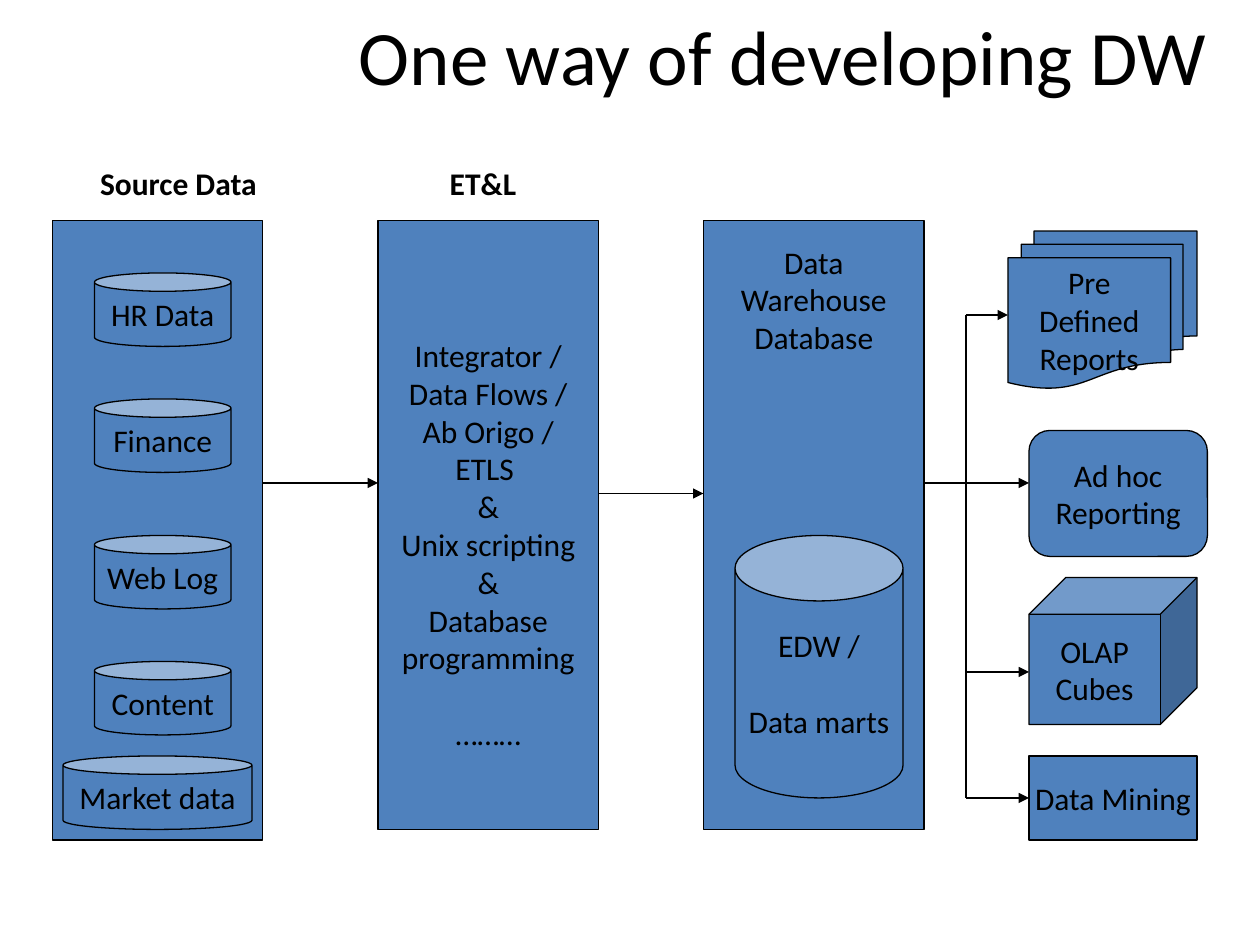
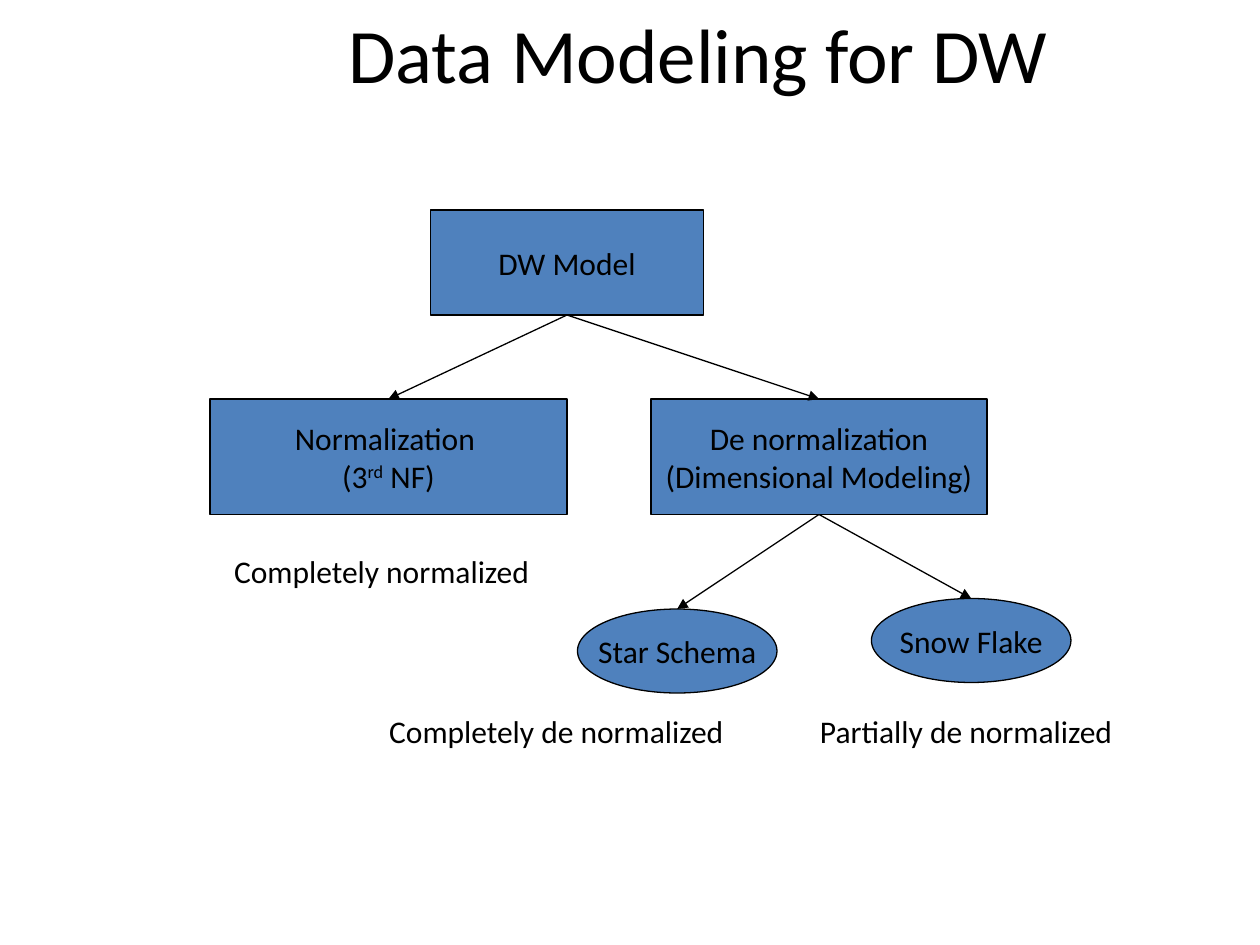
from pptx import Presentation
from pptx.dml.color import RGBColor
from pptx.enum.dml import MSO_LINE
from pptx.enum.shapes import MSO_CONNECTOR, MSO_SHAPE
from pptx.enum.text import MSO_ANCHOR, PP_ALIGN
from pptx.oxml.ns import qn
from pptx.util import Pt
from lxml import etree

BLUE = RGBColor(0x4F, 0x81, 0xBD)
BLACK = RGBColor(0, 0, 0)
LEFT, CENTER = PP_ALIGN.LEFT, PP_ALIGN.CENTER
TOP, MIDDLE = MSO_ANCHOR.TOP, MSO_ANCHOR.MIDDLE
SOLID, STRAIGHT = MSO_LINE.SOLID, MSO_CONNECTOR.STRAIGHT
RECT, CAN, OVAL = MSO_SHAPE.RECTANGLE, MSO_SHAPE.CAN, MSO_SHAPE.OVAL
DOCUMENTS, ROUNDED, CUBE = MSO_SHAPE.FLOWCHART_MULTIDOCUMENT, MSO_SHAPE.ROUNDED_RECTANGLE, MSO_SHAPE.CUBE
SITE_TOP, SITE_LEFT, SITE_BOTTOM = 0, 1, 2

BODY_FONT = {"name": "Calibri", "size": Pt(18)}
BOLD_FONT = {**BODY_FONT, "bold": True}
TITLE_FONT = {**BODY_FONT, "size": Pt(44)}
LINE_HEIGHT = 21.5
SUPERSCRIPT = "30000"

FLOW_TITLE = ("One way of developing DW", (198, 0, 504, 62.4))
FLOW_HEADINGS = [("Source Data", (30, 90, 144, 28.8)), ("ET&L", (204, 90, 144, 28.8))]
SOURCE_PANEL = (30, 126, 120, 354)
SOURCES = [("HR Data", 156, 78), ("Finance", 228, 78), ("Web Log", 306, 78),
           ("Content", 378, 78), ("Market data", 432, 108)]
SOURCE_CENTERS = {78: 93, 108: 90}
ETL_LINES = ["Integrator /", "Data Flows /", "Ab Origo /", "ETLS ", "&", "Unix scripting", "&",
             "Database", "programming", "", "………"]
ETL_PANEL = (216, 126, 126, 348)
WAREHOUSE_LINES = ["Data", "Warehouse", "Database"]
WAREHOUSE_PANEL = (402, 126, 126, 348)
MARTS = (["EDW /", "", "Data marts"], (420, 306, 96, 150))
OUTPUTS = [
    (DOCUMENTS, ["Pre", "Defined", "Reports"], (576, 132, 108, 90), 180),
    (ROUNDED, ["Ad hoc", "Reporting"], (588, 246, 102, 72), 276),
    (CUBE, ["OLAP", "Cubes"], (588, 330, 96, 84), 384),
    (RECT, ["Data Mining"], (588, 432, 96, 48), 456),
]
TRUNK_X, FLOW_Y, WAREHOUSE_Y = 552, 276, 282

MODEL_TITLE = ("Data Modeling for DW", (192, 0, 474, 60))
MODEL_NODES = {
    "model": (RECT, ["DW Model"], (246, 120, 156, 60)),
    "normal": (RECT, ["Normalization ", "(3^rd^ NF)"], (120, 228, 204, 66)),
    "denormal": (RECT, ["De normalization", "(Dimensional Modeling)"], (372, 228, 192, 66)),
    "star": (OVAL, ["Star Schema"], (330, 348, 114, 48)),
    "snow": (OVAL, ["Snow Flake"], (498, 342, 114, 48)),
}
MODEL_LINKS = [("denormal", "star"), ("denormal", "snow"), ("model", "normal"), ("model", "denormal")]
MODEL_NOTES = [
    ("Completely normalized", (126.7, 312, 197.3, 28.8)),
    ("Completely de normalized", (215.3, 403.2, 222.5, 28.8)),
    ("Partially de normalized", (461.5, 403.2, 196.6, 28.8)),
]


def set_values(target, values):
    for name, value in values.items():
        setattr(target, name, value)


def write(box, lines, font=BODY_FONT, align=CENTER, anchor=MIDDLE, wrap=False, top=3.6):
    frame = box.text_frame
    set_values(frame, {"word_wrap": wrap, "vertical_anchor": anchor, "margin_top": Pt(top)})
    para, gap = None, 0
    for line in lines:
        if not line:
            gap += LINE_HEIGHT
            continue
        para = frame.add_paragraph() if para else frame.paragraphs[0]
        para.alignment = align
        if gap:
            para.space_before = Pt(gap)
            gap = 0
        for index, text in enumerate(line.split("^")):
            span = para.add_run()
            span.text = text
            set_values(span.font, font)
            span.font.color.rgb = BLACK
            if index % 2:
                span.font._element.set("baseline", SUPERSCRIPT)


def add_text(page, text, place, **style):
    box = page.shapes.add_textbox(*map(Pt, place))
    write(box, [text], **style)


def outline(line):
    line.color.rgb = BLACK
    set_values(line, {"width": Pt(0.75), "dash_style": SOLID})


def add_node(page, kind, place, lines=(), adjust=None, **style):
    node = page.shapes.add_shape(kind, *map(Pt, place))
    node.shadow.inherit = False
    node.fill.solid()
    node.fill.fore_color.rgb = BLUE
    outline(node.line)
    if adjust:
        node.adjustments[0] = adjust
    if lines:
        write(node, lines, **style)
    return node


def add_line(page, start=(0, 0), end=(0, 0), arrow=True):
    link = page.shapes.add_connector(STRAIGHT, *map(Pt, start + end))
    outline(link.line)
    if arrow:
        etree.SubElement(link.line._get_or_add_ln(), qn("a:tailEnd"), type="triangle")
    etree.SubElement(link._element.spPr, qn("a:effectLst"))
    return link


def add_page(deck, title):
    page = deck.slides.add_slide(deck.slide_layouts[6])
    add_text(page, *title, font=TITLE_FONT, align=LEFT, wrap=True)
    return page


def build_flow(deck):
    page = add_page(deck, FLOW_TITLE)
    for text, place in FLOW_HEADINGS:
        add_text(page, text, place, font=BOLD_FONT, anchor=TOP, wrap=True)
    add_node(page, RECT, SOURCE_PANEL)
    for name, top, width in SOURCES:
        left = SOURCE_CENTERS[width] - width / 2
        add_node(page, CAN, (left, top, width, 42), [name], adjust=0.25)
    add_node(page, RECT, ETL_PANEL, ETL_LINES, top=3.6 + LINE_HEIGHT)
    add_node(page, RECT, WAREHOUSE_PANEL, WAREHOUSE_LINES, anchor=TOP, top=12.6)
    lines, place = MARTS
    add_node(page, CAN, place, lines, adjust=0.39)

    source_right, etl_right, warehouse_right = (
        left + width for left, _, width, _ in (SOURCE_PANEL, ETL_PANEL, WAREHOUSE_PANEL))
    add_line(page, (source_right, FLOW_Y), (ETL_PANEL[0], FLOW_Y))
    add_line(page, (etl_right, WAREHOUSE_Y), (WAREHOUSE_PANEL[0], WAREHOUSE_Y))
    add_line(page, (warehouse_right, FLOW_Y), (TRUNK_X, FLOW_Y), arrow=False)
    add_line(page, (TRUNK_X, OUTPUTS[0][3]), (TRUNK_X, OUTPUTS[-1][3]), arrow=False)
    for kind, lines, place, y in OUTPUTS:
        node = add_node(page, kind, place, lines)
        branch = add_line(page, (TRUNK_X, y), (place[0], y))
        if kind == RECT:
            branch.end_connect(node, SITE_LEFT)


def build_model(deck):
    page = add_page(deck, MODEL_TITLE)
    nodes = {name: add_node(page, kind, place, lines)
             for name, (kind, lines, place) in MODEL_NODES.items()}
    for parent, child in MODEL_LINKS:
        link = add_line(page)
        link.begin_connect(nodes[parent], SITE_BOTTOM)
        link.end_connect(nodes[child], SITE_TOP)
    for text, place in MODEL_NOTES:
        add_text(page, text, place, align=LEFT, anchor=TOP)


def main():
    deck = Presentation()
    set_values(deck, {"slide_width": Pt(720), "slide_height": Pt(540)})
    build_flow(deck)
    build_model(deck)
    deck.save("out.pptx")


if __name__ == "__main__":
    main()
